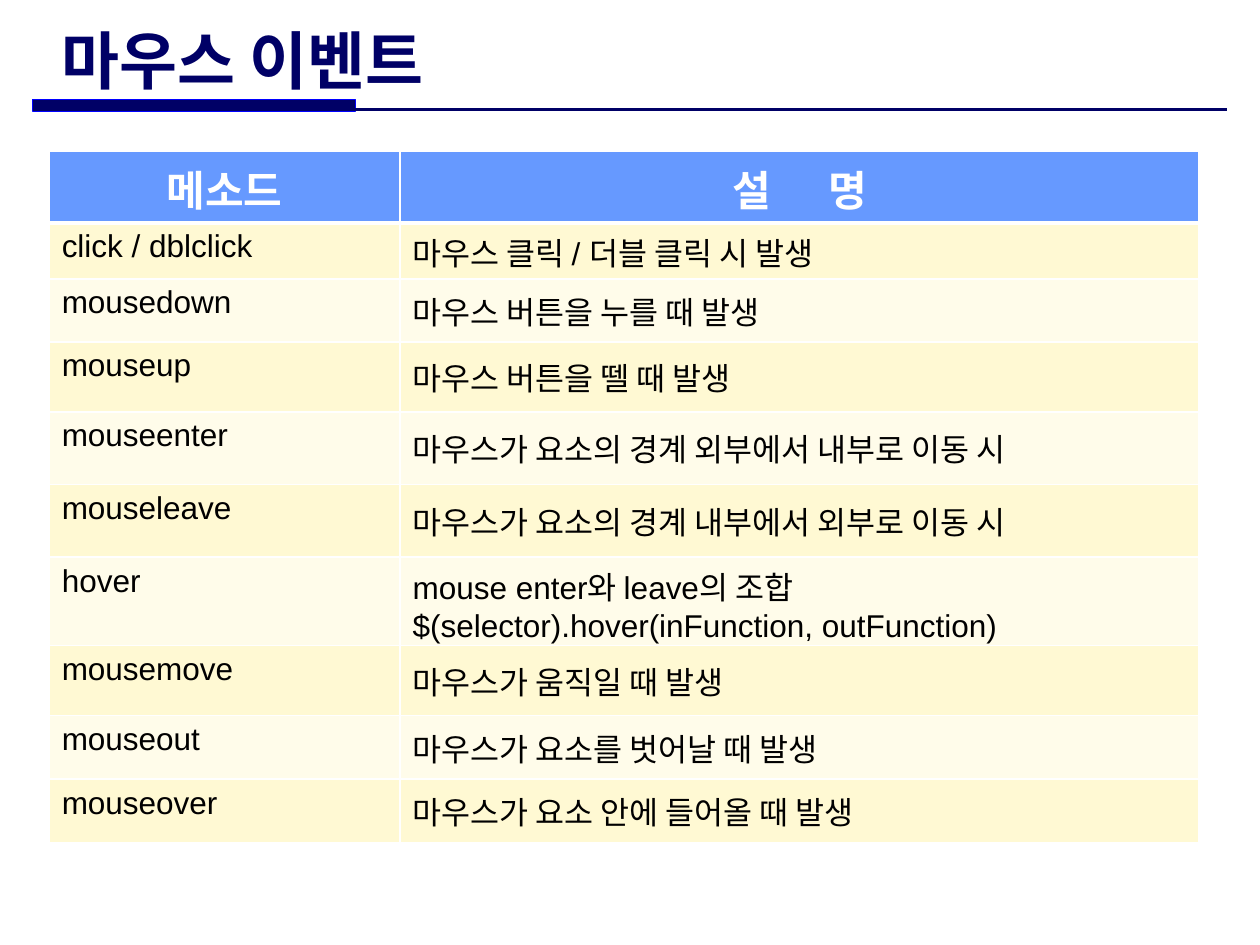
"""Build a slide with a table of mouse events."""
from lxml import etree
from pptx import Presentation
from pptx.dml.color import RGBColor
from pptx.enum.shapes import MSO_CONNECTOR, MSO_SHAPE
from pptx.enum.text import MSO_ANCHOR, PP_ALIGN
from pptx.oxml.ns import qn
from pptx.util import Pt

NAVY = RGBColor(0x00, 0x00, 0x66)
BLUE = RGBColor(0x00, 0x00, 0xFF)
HEADER = RGBColor(0x66, 0x99, 0xFF)
CREAM = RGBColor(0xFF, 0xF9, 0xD3)
PALE = RGBColor(0xFF, 0xFC, 0xEA)
WHITE = RGBColor(0xFF, 0xFF, 0xFF)
BLACK = RGBColor(0x00, 0x00, 0x00)
RECT = MSO_SHAPE.RECTANGLE
STRAIGHT = MSO_CONNECTOR.STRAIGHT
TOP, MIDDLE = MSO_ANCHOR.TOP, MSO_ANCHOR.MIDDLE
LEFT, CENTER = PP_ALIGN.LEFT, PP_ALIGN.CENTER

ROWS = [
    ("메소드", "설      명"),
    ("click / dblclick", "마우스 클릭 / 더블 클릭 시 발생"),
    ("mousedown", "마우스 버튼을 누를 때 발생"),
    ("mouseup", "마우스 버튼을 뗄 때 발생"),
    ("mouseenter", "마우스가 요소의 경계 외부에서 내부로 이동 시"),
    ("mouseleave", "마우스가 요소의 경계 내부에서 외부로 이동 시"),
    ("hover", "mouse enter와 leave의 조합\n$(selector).hover(inFunction, outFunction)"),
    ("mousemove", "마우스가 움직일 때 발생"),
    ("mouseout", "마우스가 요소를 벗어날 때 발생"),
    ("mouseover", "마우스가 요소 안에 들어올 때 발생"),
]
HEIGHTS = [41, 32, 36, 40, 41.5, 41.5, 38, 40, 36.5, 36.5]
WIDTHS = [200.5, 456.5]


def style_text(tf, font, size, color, bold, align):
    for p in tf.paragraphs:
        p.alignment = align
        for r in p.runs:
            r.font.name = font
            r.font.size = Pt(size)
            r.font.bold = bold
            r.font.color.rgb = color


def set_borders(cell, color, bottom):
    tcPr = cell._tc.get_or_add_tcPr()
    widths = {"a:lnL": 1, "a:lnR": 1, "a:lnT": 1, "a:lnB": bottom}
    for i, (tag, width) in enumerate(widths.items()):
        ln = etree.Element(qn(tag), w=str(Pt(width)))
        fill = etree.SubElement(ln, qn("a:solidFill"))
        etree.SubElement(fill, qn("a:srgbClr"), val=str(color))
        tcPr.insert(i, ln)


prs = Presentation()
prs.slide_width, prs.slide_height = Pt(720), Pt(540)
s = prs.slides.add_slide(prs.slide_layouts[6])

sp = s.shapes.add_shape(RECT, Pt(18.7), Pt(56.9), Pt(184.3), Pt(6.5))
sp.shadow.inherit = False
sp.fill.solid()
sp.fill.fore_color.rgb = NAVY
sp.line.color.rgb = BLUE
sp.line.width = Pt(0.75)

rule = s.shapes.add_connector(STRAIGHT, Pt(18.7), Pt(62.6), Pt(701.3), Pt(62.6))
rule.line.color.rgb = NAVY
rule.line.width = Pt(1.5)
etree.SubElement(rule._element.spPr, qn("a:effectLst"))

title = s.shapes.add_textbox(Pt(28.1), Pt(15.1), Pt(488.9), Pt(37.4))
tf = title.text_frame
tf.word_wrap = True
tf.vertical_anchor = MIDDLE
tf.text = "마우스 이벤트"
style_text(tf, "Comic Neue", 36, NAVY, True, LEFT)

frame = s.shapes.add_table(len(ROWS), len(WIDTHS), Pt(28.1), Pt(86.4),
                           Pt(sum(WIDTHS)), Pt(sum(HEIGHTS)))
table = frame.table
for column, width in zip(table.columns, WIDTHS):
    column.width = Pt(width)
for i, (texts, height) in enumerate(zip(ROWS, HEIGHTS)):
    table.rows[i].height = Pt(height)
    header = i == 0
    for j, text in enumerate(texts):
        cell = table.cell(i, j)
        cell.text_frame.text = text
        cell.vertical_anchor = MIDDLE if j == 1 and not header else TOP
        cell.fill.solid()
        cell.fill.fore_color.rgb = HEADER if header else CREAM if i % 2 else PALE
        set_borders(cell, WHITE, 3 if header else 1)
        if header:
            style_text(cell.text_frame, "Arial", 24, WHITE, True, CENTER)
        else:
            style_text(cell.text_frame, "Arial", 18, BLACK, False, LEFT)

prs.save("out.pptx")
